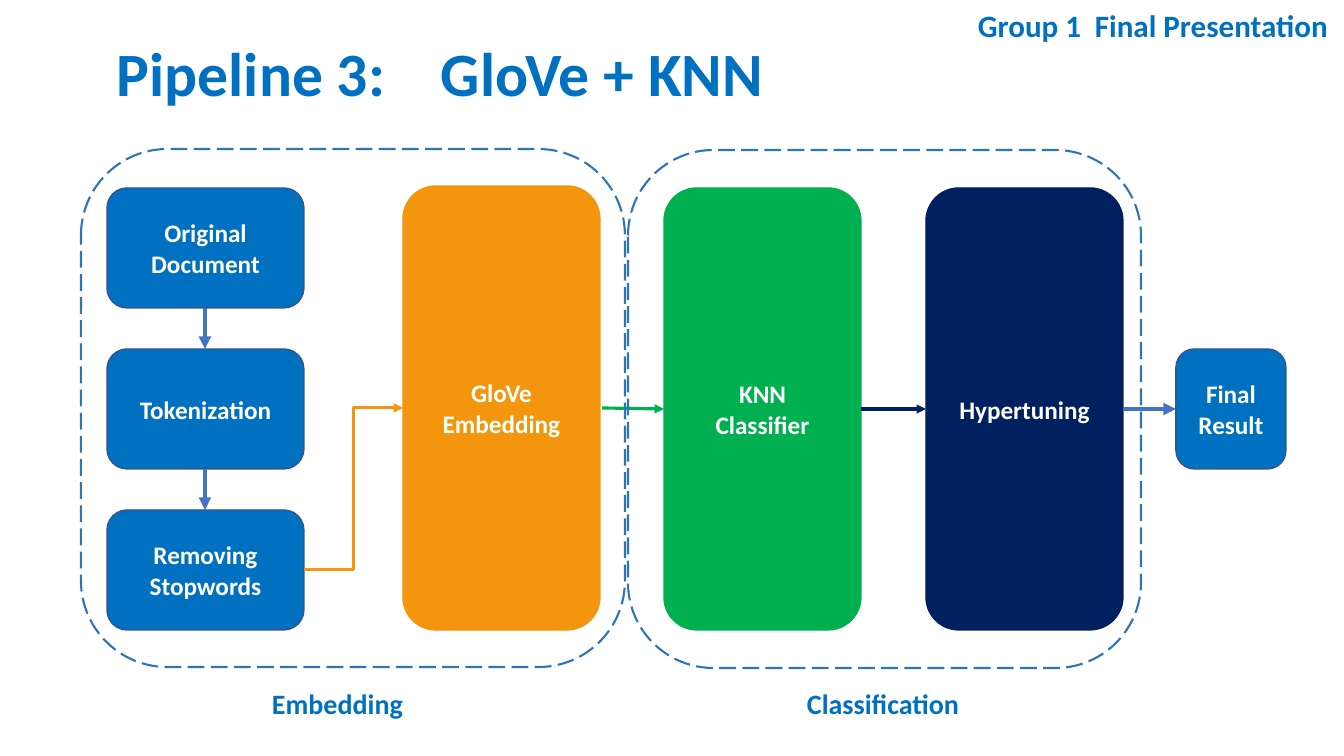
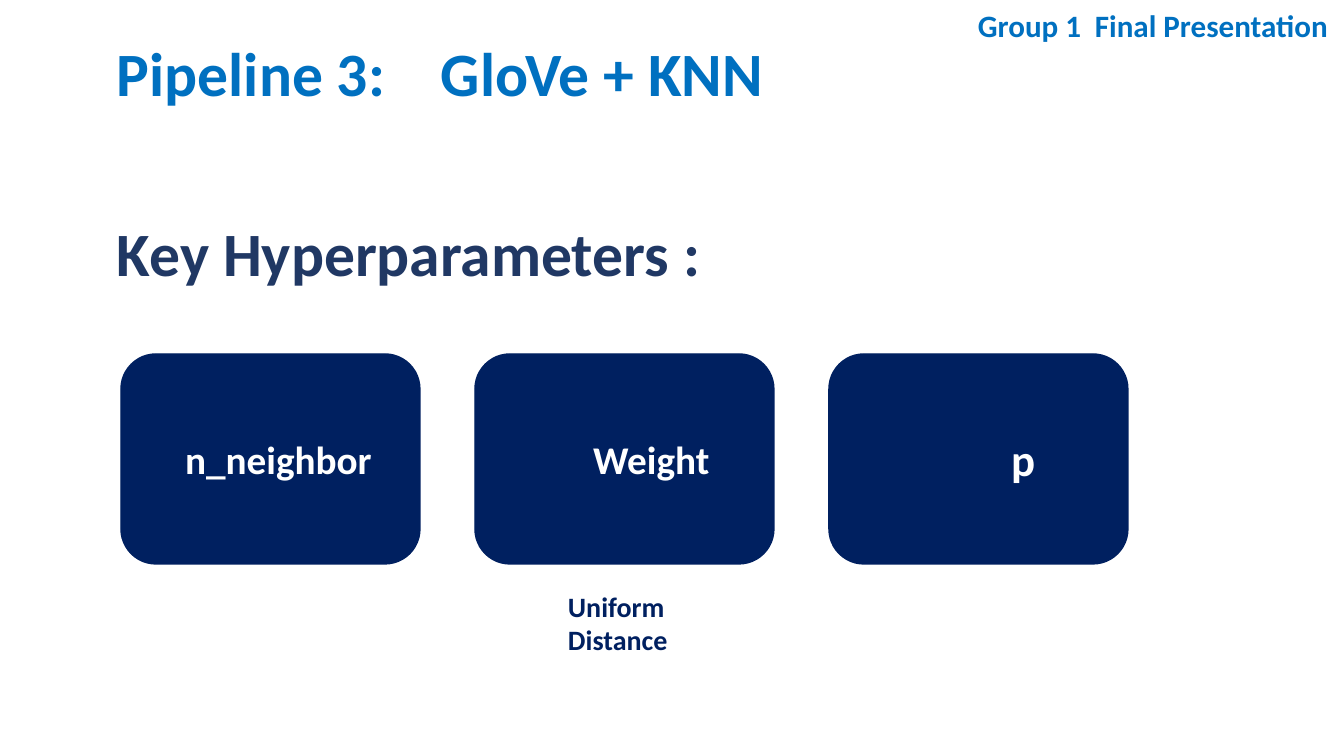
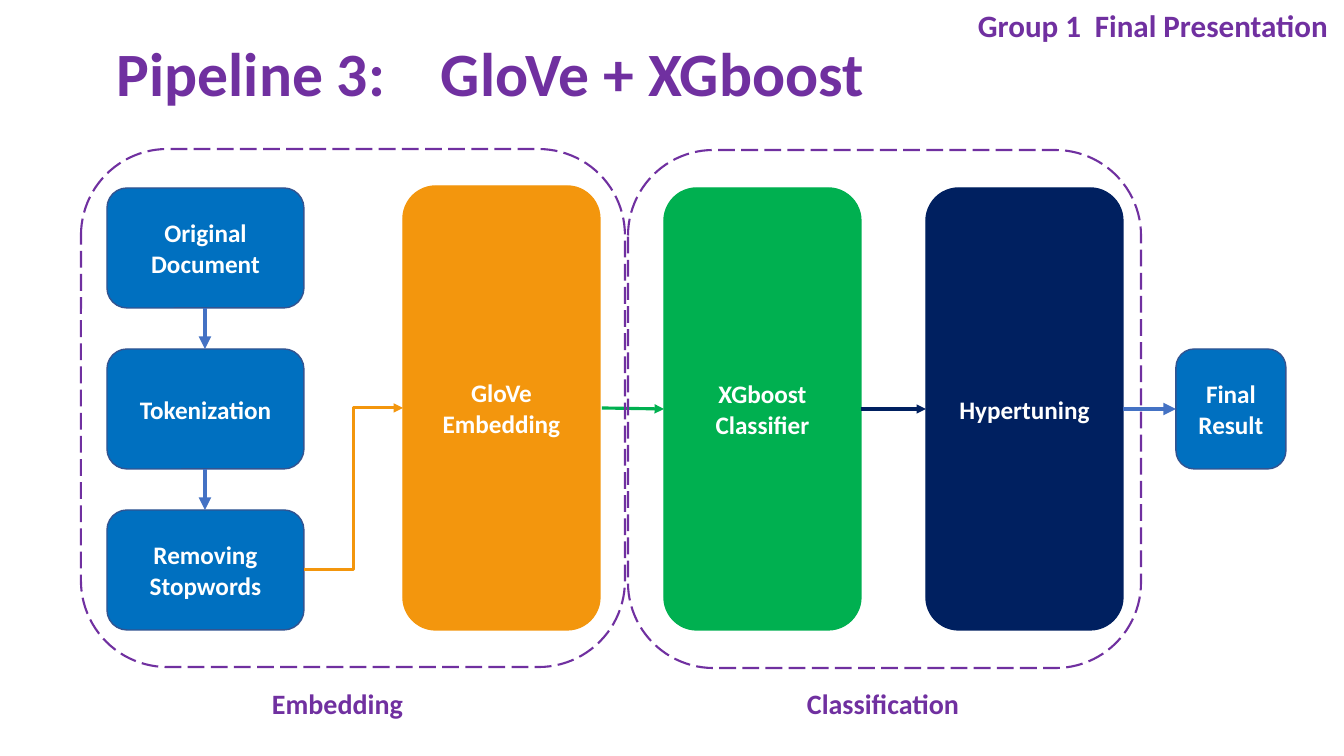
"""Build three slides that describe the GloVe classification pipelines."""
import dataclasses

import lxml.etree
import pptx
import pptx.dml.color
import pptx.enum.dml
import pptx.enum.shapes
import pptx.enum.text
import pptx.oxml.ns
import pptx.presentation
import pptx.shapes.autoshape
import pptx.shapes.base
import pptx.slide
import pptx.util

EMU_PER_PIXEL = 914400 / 100.8
FONT = "Calibri"
BLUE, EDGE_BLUE, ARROW_BLUE, FRAME_BLUE = "0070C0", "325491", "4472C4", "2E75B6"
NAVY, HEADING_NAVY = "002060", "203864"
ORANGE, GREEN, PURPLE, WHITE = "F3960D", "00B050", "7030A0", "FFFFFF"
INSET = 10
CENTER = pptx.enum.text.PP_ALIGN.CENTER
LEFT = pptx.enum.text.PP_ALIGN.LEFT
TOP = pptx.enum.text.MSO_ANCHOR.TOP
MIDDLE = pptx.enum.text.MSO_ANCHOR.MIDDLE


@dataclasses.dataclass(frozen=True)
class Box:
    """A rectangle in pixels."""

    left: int
    top: int
    width: int
    height: int


@dataclasses.dataclass(frozen=True)
class Block:
    """A filled rounded block with a label."""

    label: str
    box: Box
    fill: str = BLUE
    edge: str = EDGE_BLUE


@dataclasses.dataclass(frozen=True)
class Arrow:
    """An arrow between two points in pixels."""

    start: tuple[int, int]
    end: tuple[int, int]
    color: str = ARROW_BLUE
    weight: float = 3
    elbow: bool = False


@dataclasses.dataclass(frozen=True)
class Stage:
    """A dashed frame around part of the pipeline, with its caption."""

    caption: str
    frame: Box
    caption_left: int


@dataclasses.dataclass(frozen=True)
class Hyperparameter:
    """A hyperparameter name with its text size and left margin."""

    name: str
    size: int
    margin: int


STEP_LEFT, STEP_TOP, STEP_PITCH = 107, 188, 161
STEP_WIDTH, STEP_HEIGHT = 197, 120
STEP_LABELS = ["Original\nDocument", "Tokenization", "Removing\nStopwords"]
STEP_CENTER = STEP_LEFT + STEP_WIDTH // 2
FLOW_ROW = 409

STEPS = [
    Block(label, Box(STEP_LEFT, STEP_TOP + STEP_PITCH * row, STEP_WIDTH, STEP_HEIGHT))
    for row, label in enumerate(STEP_LABELS)
]
STEP_ARROWS = [
    Arrow((STEP_CENTER, upper.box.top + STEP_HEIGHT), (STEP_CENTER, lower.box.top))
    for upper, lower in zip(STEPS, STEPS[1:])
]
FLOW_ARROWS = [
    Arrow((304, 570), (403, 408), ORANGE, 2.25, elbow=True),
    Arrow((602, 408), (664, FLOW_ROW), GREEN, 2.25),
    Arrow((861, FLOW_ROW), (926, FLOW_ROW), NAVY, 2.25),
    Arrow((1123, FLOW_ROW), (1176, FLOW_ROW)),
]
STAGES = [
    Stage("Embedding", Box(81, 149, 544, 518), 262),
    Stage("Classification", Box(628, 150, 513, 518), 797),
]
HYPERPARAMETERS = [
    Hyperparameter("n_neighbor", 28, 54),
    Hyperparameter("Weight", 28, 108),
    Hyperparameter("p", 32, 172),
]


def pixels(length: float) -> pptx.util.Emu:
    """Turn pixels into EMU."""
    return pptx.util.Emu(round(length * EMU_PER_PIXEL))


def rgb(color: str) -> pptx.dml.color.RGBColor:
    """Turn a hex string into a colour."""
    return pptx.dml.color.RGBColor.from_string(color)


def bounds(box: Box) -> list[pptx.util.Emu]:
    """Give the position and size of a box in EMU."""
    return [pixels(length) for length in dataclasses.astuple(box)]


def write_text(
    shape: pptx.shapes.autoshape.Shape,
    text: str,
    *,
    size: float,
    color: str,
    align: pptx.enum.text.PP_ALIGN = LEFT,
    anchor: pptx.enum.text.MSO_ANCHOR = MIDDLE,
    spacing: float = 1.0,
    tab: int = 0,
    margin_left: int = INSET,
    margin_top: int = 5,
) -> None:
    """Write bold text into a shape, one paragraph a line."""
    frame = shape.text_frame
    frame.word_wrap = True
    frame.vertical_anchor = anchor
    frame.margin_left, frame.margin_top = pixels(margin_left), pixels(margin_top)
    for index, line in enumerate(text.split("\n")):
        paragraph = frame.add_paragraph() if index else frame.paragraphs[0]
        paragraph.alignment = align
        paragraph.line_spacing = spacing
        if tab:
            properties = paragraph._p.get_or_add_pPr()
            stops = lxml.etree.SubElement(properties, pptx.oxml.ns.qn("a:tabLst"))
            stop = lxml.etree.SubElement(stops, pptx.oxml.ns.qn("a:tab"))
            stop.set("pos", str(pixels(tab)))
            stop.set("algn", "l")
        run = paragraph.add_run()
        run.text = line
        run.font.name, run.font.size, run.font.bold = FONT, pptx.util.Pt(size), True
        run.font.color.rgb = rgb(color)


def add_text(slide: pptx.slide.Slide, box: Box, text: str, **text_format) -> None:
    """Add a text box with the given format."""
    write_text(slide.shapes.add_textbox(*bounds(box)), text, **text_format)


def add_rounded(
    slide: pptx.slide.Slide, box: Box, *, edge: str, weight: float = 1, fill: str = ""
) -> pptx.shapes.autoshape.Shape:
    """Add a rounded rectangle, hollow when no fill is given."""
    kind = pptx.enum.shapes.MSO_SHAPE.ROUNDED_RECTANGLE
    shape = slide.shapes.add_shape(kind, *bounds(box))
    shape.shadow.inherit = False
    if fill:
        shape.fill.solid()
        shape.fill.fore_color.rgb = rgb(fill)
    else:
        shape.fill.background()
    shape.line.color.rgb = rgb(edge)
    shape.line.width = pptx.util.Pt(weight)
    return shape


def add_block(slide: pptx.slide.Slide, block: Block) -> None:
    """Add a labelled pipeline block."""
    shape = add_rounded(slide, block.box, edge=block.edge, fill=block.fill)
    write_text(shape, block.label, size=18, color=WHITE, align=CENTER)


def add_arrow(slide: pptx.slide.Slide, arrow: Arrow) -> None:
    """Add a connector with a triangular head."""
    kinds = pptx.enum.shapes.MSO_CONNECTOR
    connector = slide.shapes.add_connector(
        kinds.ELBOW if arrow.elbow else kinds.STRAIGHT,
        *(pixels(length) for length in arrow.start + arrow.end),
    )
    connector.line.color.rgb = rgb(arrow.color)
    connector.line.width = pptx.util.Pt(arrow.weight)
    head = lxml.etree.SubElement(
        connector.line._get_or_add_ln(), pptx.oxml.ns.qn("a:tailEnd")
    )
    head.set("type", "triangle")
    lxml.etree.SubElement(connector._element.spPr, pptx.oxml.ns.qn("a:effectLst"))


def add_stage(slide: pptx.slide.Slide, stage: Stage, edge: str, color: str) -> None:
    """Add a dashed stage frame and the caption below it."""
    frame = add_rounded(slide, stage.frame, edge=edge, weight=1.5)
    frame.line.dash_style = pptx.enum.dml.MSO_LINE.LONG_DASH
    caption_box = Box(stage.caption_left, 681, 257, 44)
    add_text(slide, caption_box, stage.caption, size=20, color=color, anchor=TOP)


def add_page(
    presentation: pptx.presentation.Presentation, model: str, color: str
) -> pptx.slide.Slide:
    """Add a slide with the shared title and running header."""
    slide = presentation.slides.add_slide(presentation.slide_layouts[6])
    add_text(slide, Box(107, 4, 1159, 146), f"Pipeline 3:\tGloVe + {model}",
             size=44, color=color, spacing=0.9, tab=324)
    add_text(slide, Box(968, 0, 407, 55), "Group 1\tFinal Presentation",
             size=22.2, color=color, spacing=0.9, tab=117)
    return slide


def add_pipeline_slide(
    presentation: pptx.presentation.Presentation, model: str, color: str, edge: str
) -> None:
    """Add the flow diagram for one classifier."""
    slide = add_page(presentation, model, color)
    blocks = STEPS + [
        Block("GloVe\nEmbedding", Box(403, 186, 197, 444), ORANGE, ORANGE),
        Block(f"{model}\nClassifier", Box(664, 188, 197, 442), GREEN, GREEN),
        Block("Hypertuning", Box(926, 188, 197, 442), NAVY, NAVY),
        Block("Final\nResult", Box(1176, 349, 110, STEP_HEIGHT)),
    ]
    for block in blocks:
        add_block(slide, block)
    for arrow in STEP_ARROWS + FLOW_ARROWS:
        add_arrow(slide, arrow)
    for stage in STAGES:
        add_stage(slide, stage, edge, color)


def add_hyperparameter_slide(presentation: pptx.presentation.Presentation) -> None:
    """Add the row of key hyperparameters."""
    slide = add_page(presentation, "KNN", BLUE)
    add_text(slide, Box(107, 153, 1159, 411), "Key Hyperparameters :", size=44,
             color=HEADING_NAVY, anchor=TOP, spacing=0.9, margin_top=70)
    for column, parameter in enumerate(HYPERPARAMETERS):
        box = Box(121 + 354 * column, 354, 299, 210)
        shape = add_rounded(slide, box, edge=NAVY, fill=NAVY)
        write_text(shape, parameter.name, size=parameter.size, color=WHITE,
                   margin_left=parameter.margin)
    add_text(slide, Box(558, 584, 257, 78), "Uniform\nDistance",
             size=20, color=NAVY, anchor=TOP)


def main() -> None:
    """Build and save the presentation."""
    presentation = pptx.Presentation()
    presentation.slide_width, presentation.slide_height = pixels(1344), pixels(756)
    add_pipeline_slide(presentation, "KNN", BLUE, FRAME_BLUE)
    add_hyperparameter_slide(presentation)
    add_pipeline_slide(presentation, "XGboost", PURPLE, PURPLE)
    presentation.save("out.pptx")


main()
